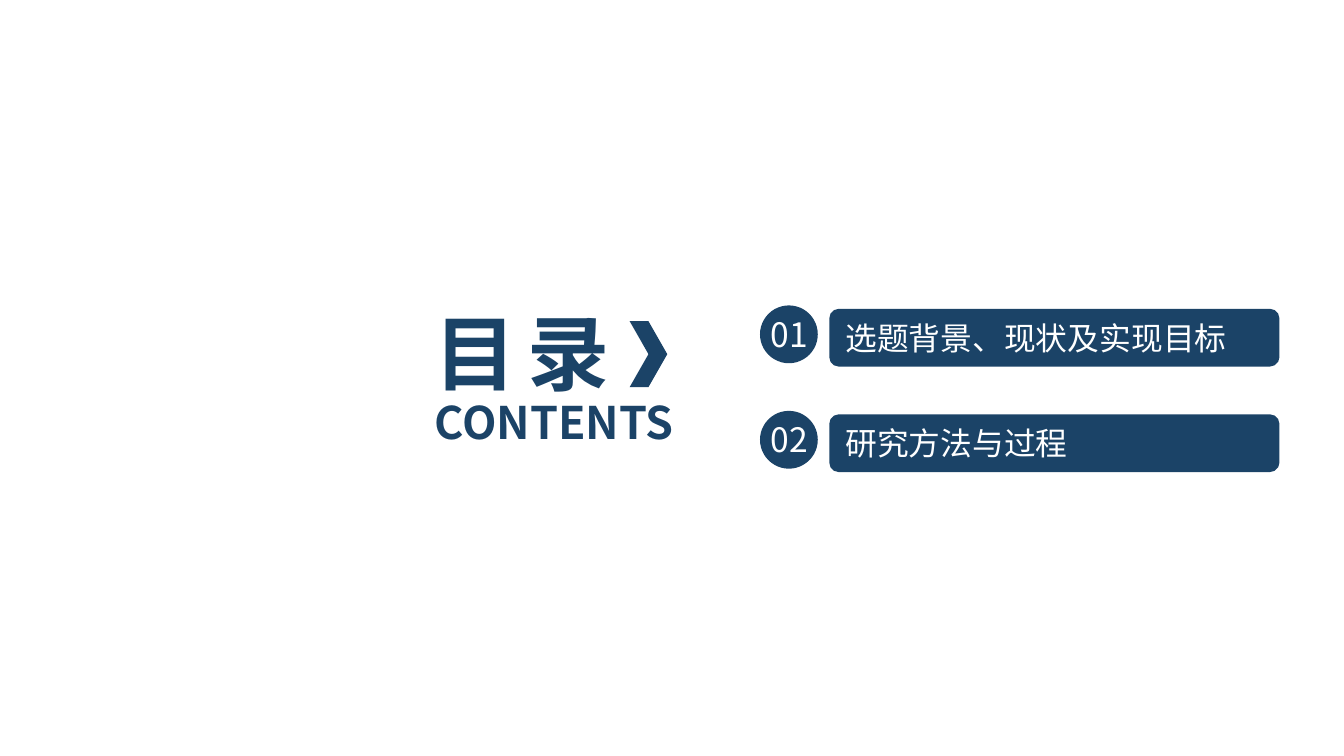
from lxml.etree import SubElement
from pptx import Presentation
from pptx.dml.color import RGBColor
from pptx.enum.shapes import MSO_SHAPE
from pptx.enum.text import MSO_ANCHOR, MSO_AUTO_SIZE, PP_ALIGN
from pptx.oxml.ns import qn
from pptx.util import Inches, Pt

NAVY = RGBColor(0x1B, 0x43, 0x67)
WHITE = RGBColor(0xFF, 0xFF, 0xFF)
FONT = "Noto Sans CJK SC"
TOPICS = ["选题背景、现状及实现目标", "研究方法与过程"]
FIRST_TOPIC_TOP = 40.85  # percent of the slide height
TOPIC_PITCH = 13.95


def write(frame, text, size, color=NAVY, bold=False, align=PP_ALIGN.LEFT, spacing=None):
    frame.word_wrap = True
    frame.auto_size = MSO_AUTO_SIZE.NONE
    frame.vertical_anchor = MSO_ANCHOR.MIDDLE
    paragraph = frame.paragraphs[0]
    paragraph.alignment = align
    run = paragraph.add_run()
    run.text = text
    font = run.font
    font.name, font.size, font.bold = FONT, Pt(size), bold
    font.color.rgb = color
    properties = run._r.get_or_add_rPr()
    SubElement(properties, qn("a:ea")).set("typeface", FONT)
    if spacing is not None:
        properties.set("spc", str(round(spacing * 100)))


class ContentsSlide:
    """Places elements by left, top, width and height in percent of the slide."""

    def __init__(self, deck):
        self.deck = deck
        self.slide = deck.slides.add_slide(deck.slide_layouts[5])
        background = self.slide.background.fill
        background.solid()
        background.fore_color.rgb = WHITE

    def box(self, left, top, width, height):
        across, down = self.deck.slide_width / 100, self.deck.slide_height / 100
        return [round(left * across), round(top * down),
                round(width * across), round(height * down)]

    def title(self, area, text, **style):
        heading = self.slide.shapes.title
        heading.left, heading.top, heading.width, heading.height = self.box(*area)
        write(heading.text_frame, text, **style)

    def label(self, area, text, parent=None, **style):
        shapes = (parent or self.slide).shapes
        write(shapes.add_textbox(*self.box(*area)).text_frame, text, **style)

    def block(self, kind, area, parent=None):
        shape = (parent or self.slide).shapes.add_shape(kind, *self.box(*area))
        shape.shadow.inherit = False
        shape.fill.solid()
        shape.fill.fore_color.rgb = NAVY
        shape.line.fill.background()
        return shape

    def topic(self, number, text, top):
        bar = self.block(MSO_SHAPE.ROUNDED_RECTANGLE, (61.7, top, 33.5, 7.65))
        write(bar.text_frame, text, size=17, color=WHITE)
        badge = self.slide.shapes.add_group_shape()
        self.block(MSO_SHAPE.OVAL, (56.55, top - 0.45, 4.3, 7.65), parent=badge)
        self.label((56.15, top - 0.27, 5.2, 7.12), f"{number:02}", parent=badge,
                   size=18, color=WHITE, align=PP_ALIGN.CENTER)


def main():
    deck = Presentation()
    deck.slide_width = Inches(10)
    deck.slide_height = deck.slide_width * 9 // 16
    contents = ContentsSlide(deck)
    contents.title((31.35, 39.1, 23.5, 14.95), "目 录", size=44, bold=True, spacing=-2.2)
    contents.label((31.35, 51.38, 23.1, 8.9), "CONTENTS", size=24, bold=True)
    contents.block(MSO_SHAPE.CHEVRON, (46.85, 42.49, 2.8, 8.72))
    for index, topic in enumerate(TOPICS):
        contents.topic(index + 1, topic, FIRST_TOPIC_TOP + index * TOPIC_PITCH)
    deck.save("out.pptx")


if __name__ == "__main__":
    main()
